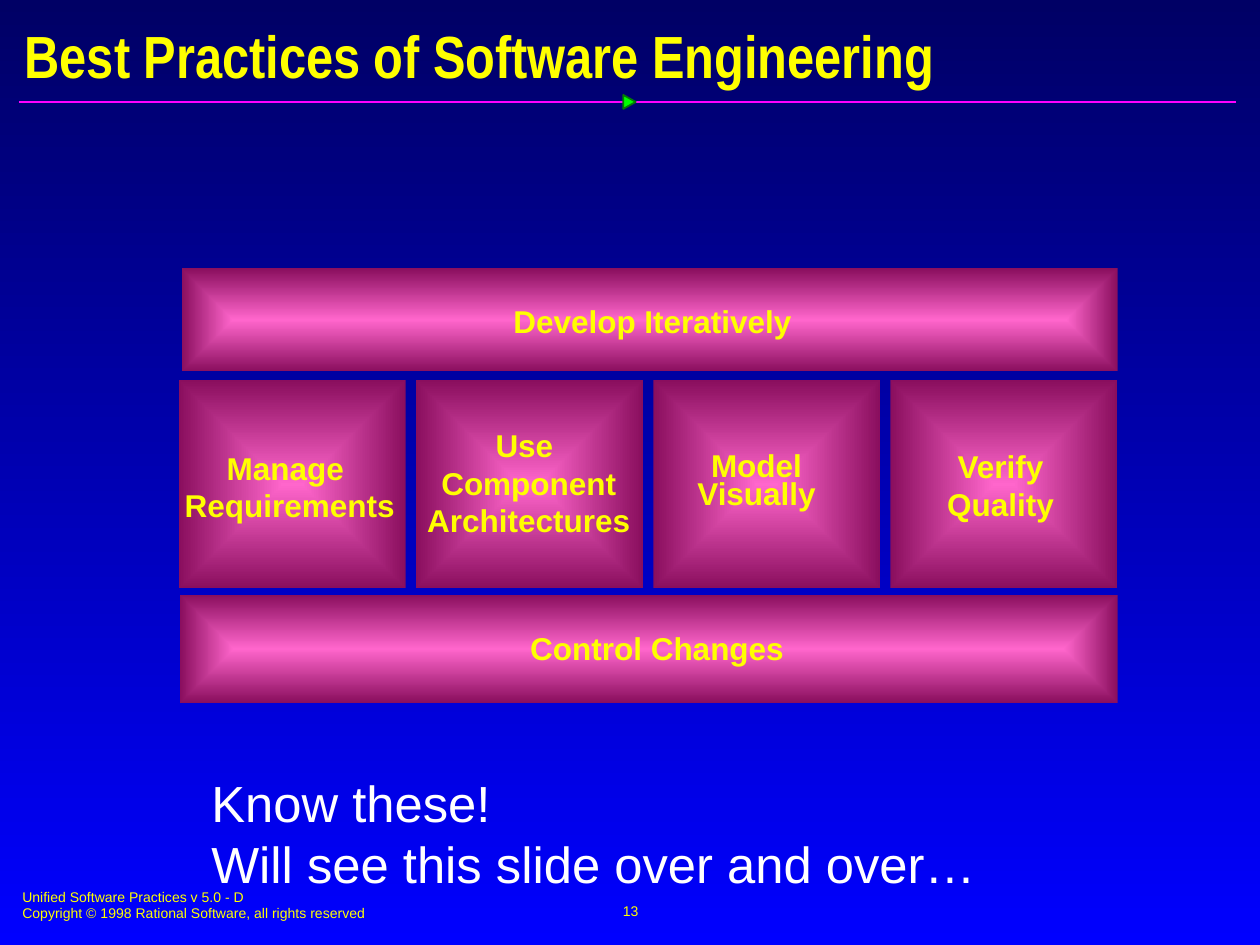
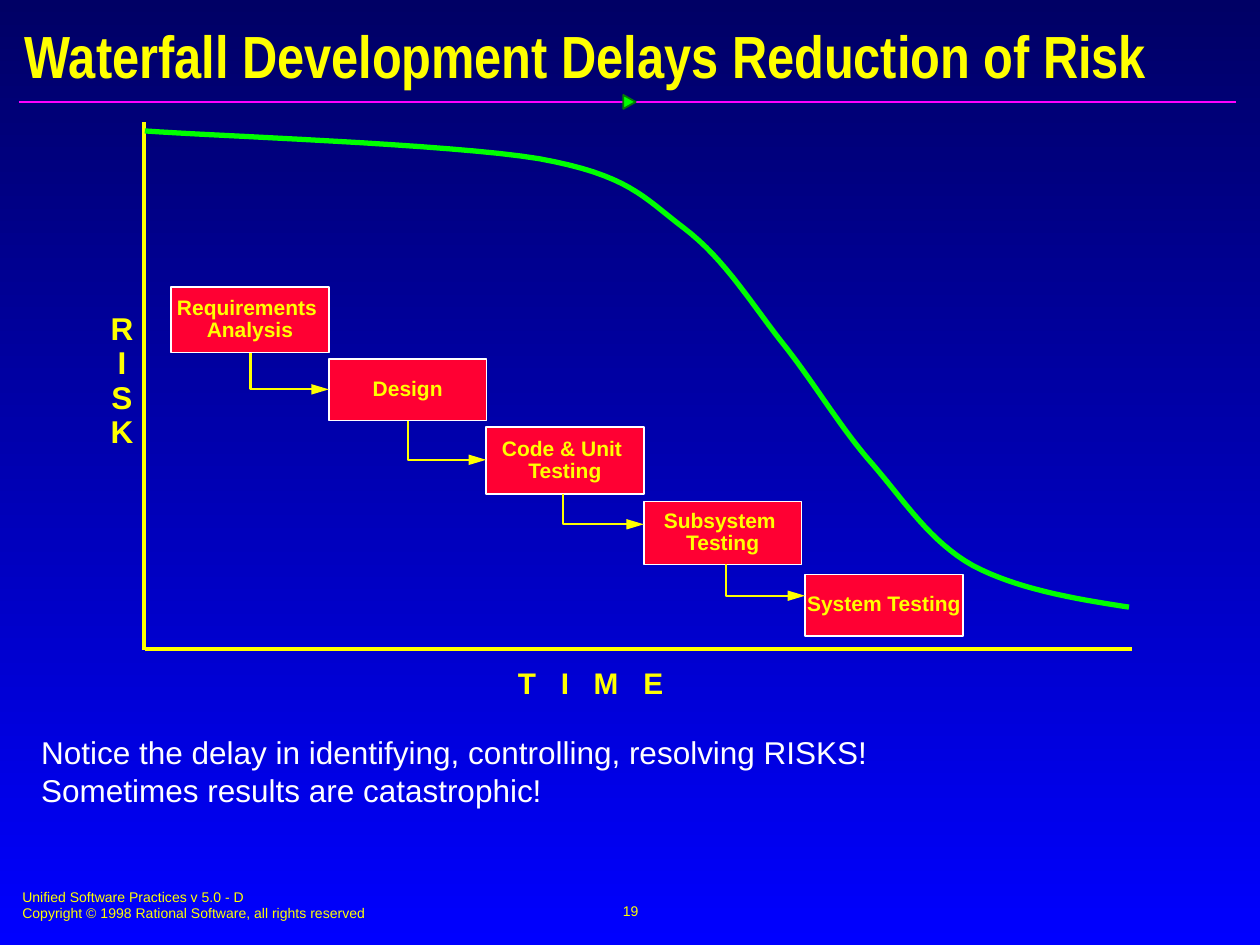
from lxml import etree
from pptx import Presentation
from pptx.dml.color import RGBColor
from pptx.enum.shapes import MSO_CONNECTOR, MSO_SHAPE
from pptx.enum.text import MSO_ANCHOR, PP_ALIGN
from pptx.oxml.ns import qn
from pptx.util import Cm, Pt

STRAIGHT, ELBOW = MSO_CONNECTOR.STRAIGHT, MSO_CONNECTOR.ELBOW
RECTANGLE, TRIANGLE = MSO_SHAPE.RECTANGLE, MSO_SHAPE.ISOSCELES_TRIANGLE
TOP, MIDDLE = MSO_ANCHOR.TOP, MSO_ANCHOR.MIDDLE
LEFT, CENTER = PP_ALIGN.LEFT, PP_ALIGN.CENTER

COLORS = {
    "sky_top": "000065", "sky_bottom": "0000FF", "text": "FFFF00", "note": "FFFFFF",
    "rule": "FF01FF", "marker": "00FF00", "marker_edge": "037C03",
    "tile_light": "FF66CC", "tile_dark": "8A0E5E",
    "stage": "FF0033", "stage_edge": "FFFFFF", "curve": "00FF00",
}

# All places are left, top, width, height in centimetres.
FOOTER = ["Unified Software Practices v 5.0 - D",
          "Copyright © 1998 Rational Software, all rights reserved"]

PILLAR_LEFT, PILLAR_STEP = 3.61, 4.78
BARS = [(3.66, 5.41, 18.87, 2.08), (3.63, 11.99, 18.9, 2.18)]
PILLARS = [(PILLAR_LEFT + i * PILLAR_STEP, 7.67, 4.57, 4.19) for i in range(4)]
PRACTICES = [
    (["Develop Iteratively"], (9.88, 5.99, 6.55, 0.94), {"anchor": MIDDLE}),
    (["Control Changes"], (10.44, 12.55, 5.69, 1.02), {"align": LEFT}),
    (["Manage ", "Requirements"], (3.14, 8.92, 5.4, 1.78), {}),
    (["Use ", "Component\vArchitectures"], (7.96, 8.46, 5.4, 2.54), {}),
    (["Model ", "Visually "], (13.34, 9.09, 4, 1.3), {"anchor": MIDDLE, "spacing": 0.75}),
    (["Verify", "Quality"], (18.17, 8.89, 4, 1.78), {}),
]
PRACTICES_NOTE = ["Know these!", "Will see this slide over and over…"]

STAGE_WIDTH = 3.18
STAGES = [  # lines, left, top, height
    (["Requirements ", "Analysis"], 3.45, 5.79, 1.32),
    (["Design"], 6.63, 7.24, 1.24),
    (["Code & Unit ", "Testing"], 9.8, 8.61, 1.35),
    (["Subsystem ", "Testing"], 12.98, 10.11, 1.27),
    (["System Testing"], 16.23, 11.58, 1.24),
]
ARROW_CORNERS = [(5.05, 7.85), (8.23, 9.27), (11.35, 10.57), (14.63, 12.01)]
AXES = [((2.9, 2.46), (2.9, 13.11)), ((2.92, 13.08), (22.81, 13.08))]
RISK_START = (2.92, 2.64)
RISK_CURVE = [  # two control points and an end point for each piece
    ((4.24, 2.74), (9.04, 2.9), (10.87, 3.2)),
    ((12.67, 3.53), (12.95, 3.96), (13.79, 4.6)),
    ((14.63, 5.23), (15.21, 6.22), (15.85, 7.01)),
    ((16.48, 7.82), (16.97, 8.66), (17.6, 9.37)),
    ((18.24, 10.11), (18.75, 10.92), (19.61, 11.4)),
    ((20.47, 11.86), (21.62, 12.07), (22.76, 12.24)),
]
RISK_NOTE = ["Notice the delay in identifying, controlling, resolving RISKS!",
             "Sometimes results are catastrophic!"]


def rgb(name):
    return RGBColor.from_string(COLORS[name])


def write(shape, lines, size=18, color="text", bold=False, font="Arial", align=LEFT,
          anchor=TOP, spacing=None, wrap=False, tracking=None):
    """Fill a shape with one paragraph per line; tracking is in points."""
    frame = shape.text_frame
    frame.word_wrap = wrap
    frame.vertical_anchor = anchor
    frame.text = "\n".join(lines)
    for para in frame.paragraphs:
        para.alignment = align
        if spacing:
            para.line_spacing = spacing
        for span in para.runs:
            span.font.size = Pt(size)
            span.font.name = font
            span.font.bold = bold
            span.font.color.rgb = rgb(color)
            if tracking:
                span.font._element.set("spc", str(round(tracking * 100)))


def add_text(page, lines, place, **style):
    box = page.shapes.add_textbox(*map(Cm, place))
    write(box, lines, **style)


def set_line(shape, color, width):
    shape.line.color.rgb = rgb(color)
    shape.line.width = Pt(width)


def add_box(page, kind, place, fill, edge):
    box = page.shapes.add_shape(kind, *map(Cm, place))
    box.shadow.inherit = False
    box.fill.solid()
    box.fill.fore_color.rgb = rgb(fill)
    set_line(box, edge, 1)
    return box


def set_gradient(fill, first, last):
    fill.gradient()
    for stop, color in zip(fill.gradient_stops, (first, last)):
        stop.color.rgb = rgb(color)


def add_tile(page, place):
    """Add a rectangle that is light in the middle and dark at all four edges."""
    tile = page.shapes.add_shape(RECTANGLE, *map(Cm, place))
    tile.shadow.inherit = False
    tile.line.fill.background()
    set_gradient(tile.fill, "tile_light", "tile_dark")
    gradient = tile._element.spPr.find(qn("a:gradFill"))
    gradient.remove(gradient.find(qn("a:lin")))
    shade = etree.SubElement(gradient, qn("a:path"), {"path": "rect"})
    etree.SubElement(shade, qn("a:fillToRect"), dict.fromkeys("ltrb", "50000"))


def add_line(page, start, end, color, width, kind=STRAIGHT):
    line = page.shapes.add_connector(kind, *map(Cm, (*start, *end)))
    set_line(line, color, width)
    etree.SubElement(line._element.spPr, qn("a:effectLst"))
    return line


def add_step_arrow(page, start, end):
    """Go straight down from start, then right to end, with one corner."""
    run, drop = end[0] - start[0], end[1] - start[1]
    middle_x, middle_y = start[0] + run / 2, start[1] + drop / 2
    # The one-corner connector starts sideways, so it is turned by 270 degrees.
    arrow = add_line(page, (middle_x + drop / 2, middle_y - run / 2),
                     (middle_x - drop / 2, middle_y + run / 2), "text", 1.25, ELBOW)
    properties = arrow._element.spPr
    properties.find(qn("a:xfrm")).set("rot", str(270 * 60000))
    properties.find(qn("a:prstGeom")).set("prst", "bentConnector2")
    etree.SubElement(properties.find(qn("a:ln")), qn("a:tailEnd"),
                     {"type": "triangle", "len": "lg"})


def curve_points(start, pieces, steps=16):
    for first, second, end in pieces:
        for step in range(1, steps + 1):
            t = step / steps
            weights = ((1 - t) ** 3, 3 * t * (1 - t) ** 2, 3 * t ** 2 * (1 - t), t ** 3)
            corners = (start, first, second, end)
            yield tuple(Cm(sum(w * c[axis] for w, c in zip(weights, corners)))
                        for axis in (0, 1))
        start = end


def add_page(deck, title, number):
    """Add a slide with the shared background, title, rule and footer."""
    page = deck.slides.add_slide(deck.slide_layouts[6])
    background = page.background.fill
    set_gradient(background, "sky_top", "sky_bottom")
    background.gradient_angle = 270
    add_line(page, (0.38, 2.06), (24.92, 2.06), "rule", 1)
    marker = add_box(page, TRIANGLE, (12.55, 1.93, 0.28, 0.25), "marker", "marker_edge")
    marker.rotation = 90
    add_text(page, FOOTER, (0.2, 17.78, 12.95, 0.94), size=8, wrap=True)
    add_text(page, [str(number)], (8.69, 17.73, 8.05, 1.27), size=8, align=CENTER,
             anchor=MIDDLE)
    add_text(page, [title], (0.25, 0.36, 24.99, 1.47), size=34, bold=True,
             font="Arial Narrow", anchor=MIDDLE, wrap=True)
    return page


def add_practices(deck):
    page = add_page(deck, "Best Practices of Software Engineering", 13)
    for place in BARS + PILLARS:
        add_tile(page, place)
    for lines, place, style in PRACTICES:
        add_text(page, lines, place, **{"bold": True, "align": CENTER, **style})
    add_text(page, PRACTICES_NOTE, (4.01, 15.44, 17, 2.72), size=29, color="note")


def add_waterfall(deck):
    page = add_page(deck, "Waterfall Development Delays Reduction of Risk", 19)
    for start, end in AXES:
        add_line(page, start, end, "text", 2)
    add_text(page, list("RISK"), (1.71, 6.2, 1.5, 2.97), bold=True, align=CENTER,
             spacing=0.9)
    add_text(page, ["T I M E"], (10.19, 13.36, 5, 0.86), size=17, bold=True,
             spacing=0.9, tracking=4.7)

    builder = page.shapes.build_freeform(*map(Cm, RISK_START))
    builder.add_line_segments(curve_points(RISK_START, RISK_CURVE), close=False)
    curve = builder.convert_to_shape()
    curve.shadow.inherit = False
    curve.fill.background()
    set_line(curve, "curve", 3)

    for lines, left, top, height in STAGES:
        stage = add_box(page, RECTANGLE, (left, top, STAGE_WIDTH, height),
                        "stage", "stage_edge")
        write(stage, lines, size=12, bold=True, align=CENTER, anchor=MIDDLE, spacing=0.87)
    for (corner_x, corner_y), stage, following in zip(ARROW_CORNERS, STAGES, STAGES[1:]):
        bottom = stage[2] + stage[3]
        add_step_arrow(page, (corner_x, bottom), (following[1], corner_y))
    add_text(page, RISK_NOTE, (0.58, 14.66, 18, 1.78), color="note")


def main():
    deck = Presentation()
    deck.slide_width, deck.slide_height = Cm(25.4), Cm(19.05)
    add_practices(deck)
    add_waterfall(deck)
    deck.save("out.pptx")


if __name__ == "__main__":
    main()
